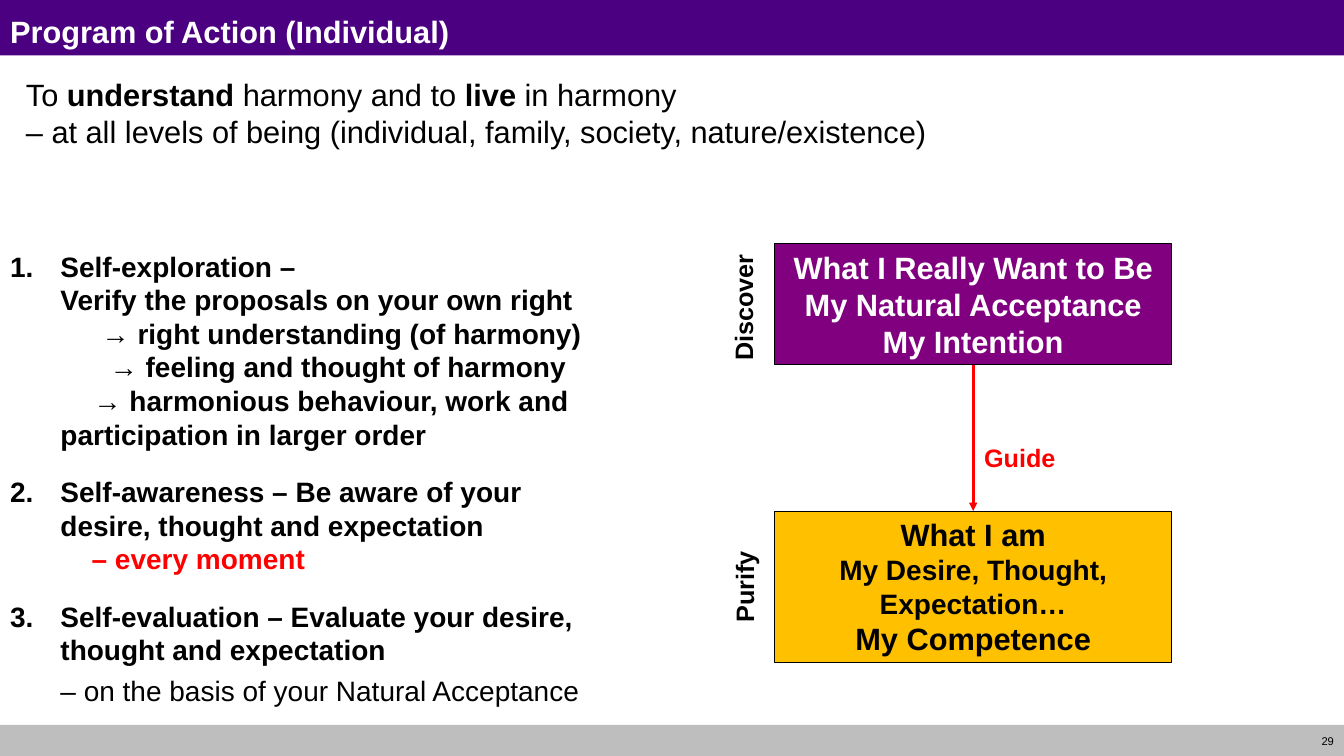
from pptx import Presentation
from pptx.dml.color import RGBColor
from pptx.enum.shapes import MSO_CONNECTOR, MSO_SHAPE
from pptx.enum.text import MSO_ANCHOR, MSO_AUTO_SIZE, PP_ALIGN
from pptx.oxml.ns import qn
from pptx.util import Inches, Pt
from lxml import etree

LEFT, CENTER, RIGHT = PP_ALIGN.LEFT, PP_ALIGN.CENTER, PP_ALIGN.RIGHT
TOP, MIDDLE = MSO_ANCHOR.TOP, MSO_ANCHOR.MIDDLE
RECTANGLE, STRAIGHT = MSO_SHAPE.RECTANGLE, MSO_CONNECTOR.STRAIGHT
NO_AUTOFIT = MSO_AUTO_SIZE.NONE

THEME = {
    "font": "Arial",
    "colors": {
        "header": "4B0082", "footer": "BEBEBE", "intention": "800080",
        "competence": "FFC000", "accent": "FF0000", "dark": "000000", "light": "FFFFFF",
    },
    "sizes": {"heading": 22, "body": 20, "label": 18, "number": 8},
}

TITLE = "Program of Action (Individual)"
PAGE_NUMBER = "29"
GOAL = [
    [("To ", {}), ("understand", {"bold": True}), (" harmony and to ", {}),
     ("live", {"bold": True}), (" in harmony", {})],
    [("– at all levels of being (individual, family, society, nature/existence)", {})],
]

STEP_FORMAT = {"size": "body", "bold": True}
STEP_INDENT = 0.5
STEPS = [
    {"text": "Self-exploration –", "number": 1},
    {"text": "Verify the proposals on your own right"},
    {"text": "→ right understanding (of harmony)", "first": 0.41},
    {"text": "→ feeling and thought of harmony", "first": 0.49},
    {"text": "→ harmonious behaviour, work and participation in larger order", "first": 0.33},
    {"text": "Self-awareness – Be aware of your desire, thought and expectation",
     "number": 2, "before": 17},
    {"text": "– every moment", "first": 0.31, "format": {"color_name": "accent"}},
    {"text": "Self-evaluation – Evaluate your desire, thought and expectation",
     "number": 3, "before": 17},
    {"text": "– on the basis of your Natural Acceptance", "before": 5,
     "format": {"bold": False}, "level": 1},
]

BOX_LEFT, BOX_WIDTH = 7.69, 3.94
BOXES = [
    {"top": 2.42, "height": 1.2, "fill": "intention", "color_name": "light",
     "lines": [("What I Really Want to Be", "heading"), ("My Natural Acceptance", "heading"),
               ("My Intention", "heading")]},
    {"top": 5.07, "height": 1.5, "fill": "competence", "color_name": "dark",
     "lines": [("What I am", "heading"), ("My Desire, Thought, Expectation…", "body"),
               ("My Competence", "heading")]},
]
LABELS = [
    ("Discover", (6.75, 2.85, 1.25, 0.4), 270, CENTER, "dark"),
    ("Purify", (6.93, 5.62, 0.91, 0.4), 270, CENTER, "dark"),
    ("Guide", (9.67, 4.34, 0.91, 0.4), 0, LEFT, "accent"),
]
BARS = [("header", (0, 0, 13.34, 0.55)), ("footer", (0, 7.19, 13.34, 0.31))]


def color(name):
    return RGBColor.from_string(THEME["colors"][name])


def set_attributes(target, values):
    for attribute, value in values.items():
        setattr(target, attribute, value)


def add_run(paragraph, text, size="heading", color_name="dark", bold=False):
    run = paragraph.add_run()
    run.text = text
    set_attributes(run.font, {
        "name": THEME["font"], "size": Pt(THEME["sizes"][size]), "bold": bold})
    run.font.color.rgb = color(color_name)


def write(shape, lines, align=LEFT, anchor=TOP, wrap=True):
    frame = shape.text_frame
    set_attributes(frame, {
        "word_wrap": wrap, "auto_size": NO_AUTOFIT, "vertical_anchor": anchor})
    for index, runs in enumerate(lines):
        paragraph = frame.add_paragraph() if index else frame.paragraphs[0]
        paragraph.alignment = align
        for text, values in runs:
            add_run(paragraph, text, **values)


def place(shape, area):
    set_attributes(shape, dict(zip(("left", "top", "width", "height"), map(Inches, area))))


def add_text(slide, area, lines, **options):
    shape = slide.shapes.add_textbox(*map(Inches, area))
    write(shape, lines, **options)
    return shape


def add_rectangle(slide, area, fill):
    shape = slide.shapes.add_shape(RECTANGLE, *map(Inches, area))
    shape.shadow.inherit = False
    shape.fill.solid()
    shape.fill.fore_color.rgb = color(fill)
    shape.line.fill.background()
    return shape


def format_step(paragraph, step):
    number = step.get("number")
    first = -STEP_INDENT if number else step.get("first", 0)
    properties = paragraph._p.get_or_add_pPr()
    properties.set("marL", str(Inches(STEP_INDENT)))
    properties.set("indent", str(Inches(first)))
    if number:
        etree.SubElement(properties, qn("a:buAutoNum"), type="arabicPeriod", startAt=str(number))
    else:
        etree.SubElement(properties, qn("a:buNone"))
    set_attributes(paragraph, {
        "level": step.get("level", 0), "space_before": Pt(step.get("before", 0))})


def add_arrow(slide, start, end):
    arrow = slide.shapes.add_connector(STRAIGHT, 0, 0, 0, 0)
    arrow.begin_connect(start, 2)
    arrow.end_connect(end, 0)
    arrow.line.color.rgb = color("accent")
    arrow.line.width = Pt(2)
    properties = arrow.element.spPr
    etree.SubElement(properties.find(qn("a:ln")), qn("a:tailEnd"), type="triangle")
    etree.SubElement(properties, qn("a:effectLst"))


def main():
    presentation = Presentation()
    presentation.slide_width, presentation.slide_height = Inches(13.34), Inches(7.5)
    slide = presentation.slides.add_slide(presentation.slide_layouts[1])
    title, body = slide.placeholders

    for fill, area in BARS:
        title.element.addprevious(add_rectangle(slide, area, fill).element)

    place(title, (0, 0.08, 13.33, 0.42))
    write(title, [[(TITLE, {"color_name": "light", "bold": True})]])
    add_text(slide, (12.71, 7.19, 0.63, 0.32), [[(PAGE_NUMBER, {"size": "number"})]],
             align=RIGHT, anchor=MIDDLE)
    add_text(slide, (0.16, 0.7, 9.96, 0.84), GOAL)

    place(body, (0, 2.42, 6.17, 4.75))
    write(body, [[(step["text"], {**STEP_FORMAT, **step.get("format", {})})] for step in STEPS])
    for paragraph, step in zip(body.text_frame.paragraphs, STEPS):
        format_step(paragraph, step)

    boxes = []
    for box in BOXES:
        shape = add_rectangle(slide, (BOX_LEFT, box["top"], BOX_WIDTH, box["height"]), box["fill"])
        shape.line.color.rgb = color("dark")
        shape.line.width = Pt(0.75)
        write(shape, [[(text, {"size": size, "color_name": box["color_name"], "bold": True})]
                      for text, size in box["lines"]], align=CENTER)
        boxes.append(shape)
    add_arrow(slide, *boxes)

    for text, area, rotation, align, color_name in LABELS:
        runs = [(text, {"size": "label", "color_name": color_name, "bold": True})]
        label = add_text(slide, area, [runs], align=align, wrap=False)
        label.rotation = rotation

    presentation.save("out.pptx")


if __name__ == "__main__":
    main()
